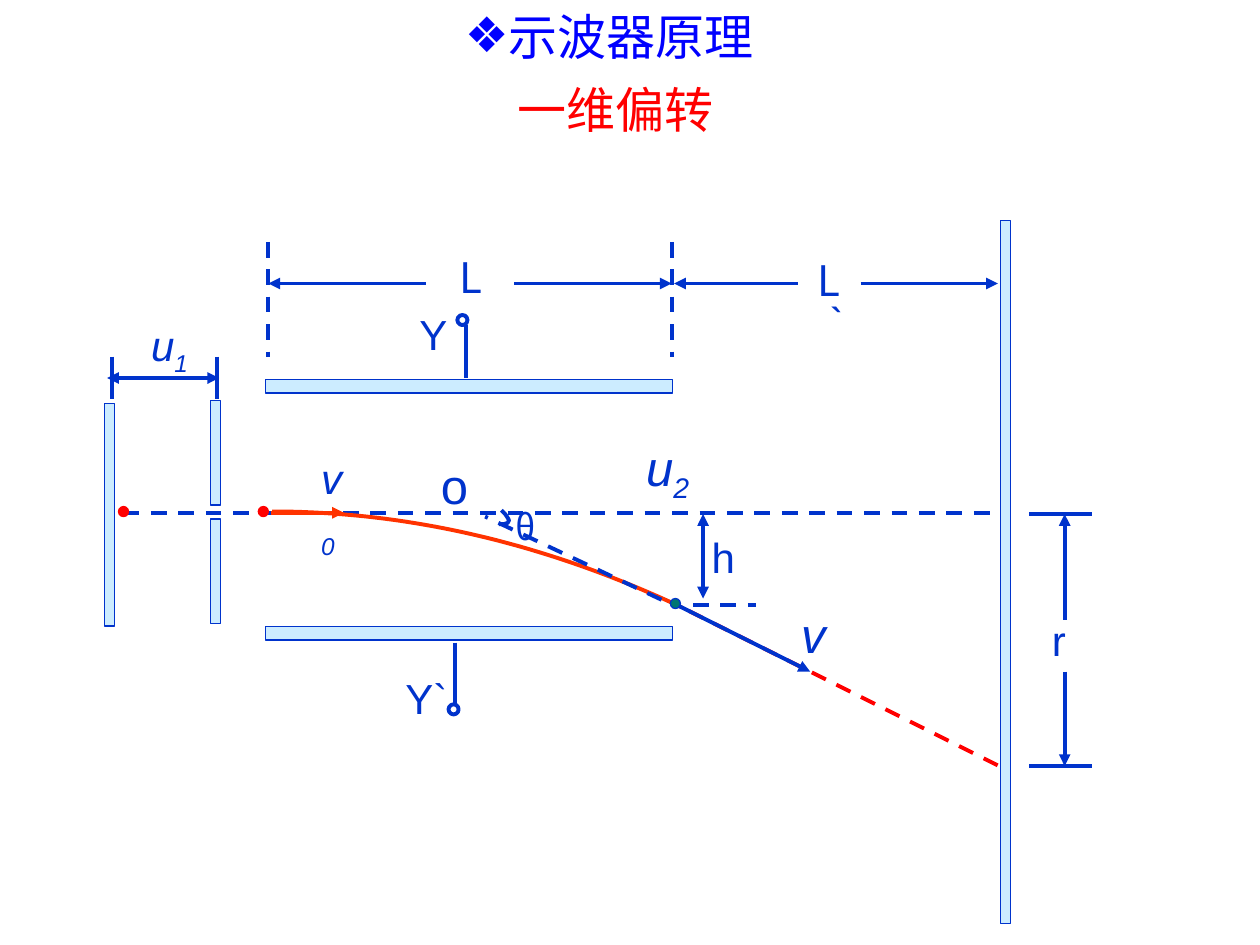
"""Build the oscilloscope slide showing one-dimensional beam deflection."""
from lxml import etree
from pptx import Presentation
from pptx.dml.color import RGBColor
from pptx.enum.dml import MSO_LINE
from pptx.enum.shapes import MSO_CONNECTOR, MSO_SHAPE
from pptx.enum.text import MSO_AUTO_SIZE
from pptx.oxml.ns import qn
from pptx.util import Inches, Pt

STRAIGHT = MSO_CONNECTOR.STRAIGHT
DASH = MSO_LINE.DASH
RECTANGLE = MSO_SHAPE.RECTANGLE
OVAL = MSO_SHAPE.OVAL
FIT_SHAPE = MSO_AUTO_SIZE.SHAPE_TO_FIT_TEXT

THEME = {
    "ink": RGBColor(0x00, 0x33, 0xCC),
    "plate": RGBColor(0xCC, 0xEC, 0xFF),
    "title": RGBColor(0x00, 0x00, 0xFF),
    "red": RGBColor(0xFF, 0x00, 0x00),
    "beam": RGBColor(0xFF, 0x33, 0x00),
    "exit": RGBColor(0x00, 0x75, 0x72),
    "latin": "Arial",
    "cjk": "Noto Sans CJK SC",
    "large": Pt(28),
    "medium": Pt(24),
    "small": Pt(20),
    "stroke": Pt(2.25),
    "outline": Pt(0.75),
}
BOTH = ("headEnd", "tailEnd")
HEAD = ("headEnd",)
TAIL = ("tailEnd",)
DOT = 0.08

deck = Presentation()
deck.slide_width, deck.slide_height = Inches(10), Inches(7.5)
page = deck.slides.add_slide(deck.slide_layouts[6])


def add_line(start, end, color="ink", dashed=False, arrows=()):
    """Draw a straight line with optional dashes and arrowheads."""
    line = page.shapes.add_connector(STRAIGHT, *map(Inches, start + end))
    line.line.color.rgb = THEME[color]
    line.line.width = THEME["stroke"]
    if dashed:
        line.line.dash_style = DASH
    for arrow in arrows:
        etree.SubElement(line.line._get_or_add_ln(), qn(f"a:{arrow}"), type="triangle")
    etree.SubElement(line._element.spPr, qn("a:effectLst"))


def add_label(place, parts, size="medium", color="ink", font="latin", italic=False, wrap=False):
    """Write a label whose second part, if any, is a subscript."""
    box = page.shapes.add_textbox(*map(Inches, place))
    box.text_frame.word_wrap = wrap
    box.text_frame.auto_size = FIT_SHAPE
    para = box.text_frame.paragraphs[0]
    look = {"name": THEME[font], "size": THEME[size], "italic": italic}
    for index, part in enumerate(parts):
        span = para.add_run()
        span.text = part
        for name, value in look.items():
            setattr(span.font, name, value)
        span.font.color.rgb = THEME[color]
        properties = span._r.get_or_add_rPr()
        etree.SubElement(properties, qn("a:ea"), typeface=THEME["cjk"])
        if index:
            properties.set("baseline", "-25000")
    return para


add_line((0.98, 4.07), (7.98, 4.07), dashed=True)
add_line((2.15, 4.07), (2.73, 4.07), "beam", arrows=TAIL)
add_line((5.47, 4.85), (7.95, 6.09), "red", dashed=True)

steps = 40
trajectory = [(2.16 + 3.25 * i / steps, 4.06 + 0.76 * (i / steps) ** 2) for i in range(steps + 1)]
angle_arc = [(3.98, 4.05), (4.01, 4.08), (4.03, 4.11), (4.04, 4.13), (4.03, 4.15), (4, 4.16), (3.96, 4.16)]
for points, color in ((trajectory, "beam"), (angle_arc, "ink")):
    corners = [(Inches(x), Inches(y)) for x, y in points]
    builder = page.shapes.build_freeform(*corners[0])
    builder.add_line_segments(corners[1:], close=False)
    curve = builder.convert_to_shape()
    curve.shadow.inherit = False
    curve.fill.background()
    curve.line.color.rgb = THEME[color]
    curve.line.width = THEME["stroke"]

for x in (0.89, 1.72):
    add_line((x, 2.83), (x, 3.17))
for x in (2.13, 5.33):
    add_line((x, 1.92), (x, 2.83), dashed=True)
for y in (4.08, 6.08):
    add_line((8.17, y), (8.67, y))
for start, end, arrows in (
    ((0.85, 3), (1.74, 3), BOTH),
    ((2.13, 2.25), (3.38, 2.25), HEAD),
    ((4.08, 2.25), (5.33, 2.25), TAIL),
    ((5.35, 2.25), (6.33, 2.25), HEAD),
    ((6.83, 2.25), (7.92, 2.25), TAIL),
    ((8.45, 4.92), (8.45, 4.08), TAIL),
    ((8.45, 5.33), (8.45, 6.08), TAIL),
    ((5.58, 4.08), (5.58, 4.75), BOTH),
    ((5.37, 4.8), (6.43, 5.33), TAIL),
    ((3.7, 3), (3.7, 2.58), ()),
    ((3.61, 5.1), (3.61, 5.6), ()),
):
    add_line(start, end, arrows=arrows)
add_line((5.25, 4.76), (3.85, 4.1), dashed=True)
add_line((5.5, 4.8), (6, 4.8), dashed=True)

plates = [
    (0.83, 3.2, 0.08, 1.77),
    (1.67, 3.18, 0.08, 0.83),
    (1.67, 4.12, 0.08, 0.83),
    (2.11, 3.01, 3.23, 0.11),
    (2.11, 4.97, 3.23, 0.11),
    (7.94, 1.75, 0.08, 5.58),
]
dots = [
    (0.94, 4.02, "red", "red", "outline"),
    (2.05, 4.02, "red", "red", "outline"),
    (5.32, 4.75, "exit", "ink", "outline"),
    (3.63, 2.5, None, "ink", "stroke"),
    (3.56, 5.59, None, "ink", "stroke"),
]
solids = [(RECTANGLE, place, "plate", "ink", "outline") for place in plates]
solids += [(OVAL, (x, y, DOT, DOT), *style) for x, y, *style in dots]
for kind, place, fill, edge, width in solids:
    solid = page.shapes.add_shape(kind, *map(Inches, place))
    solid.shadow.inherit = False
    if fill:
        solid.fill.solid()
        solid.fill.fore_color.rgb = THEME[fill]
    else:
        solid.fill.background()
    solid.line.color.rgb = THEME[edge]
    solid.line.width = THEME[width]

heading = add_label((3.59, 0, 2.49, 0.57), ["示波器原理"], "large", "title")
indent = Inches(0.34)
heading_format = heading._p.get_or_add_pPr()
heading_format.set("marL", str(indent))
heading_format.set("indent", str(-indent))
bullet_color = etree.SubElement(heading_format, qn("a:buClr"))
etree.SubElement(bullet_color, qn("a:srgbClr"), val=str(THEME["title"]))
etree.SubElement(heading_format, qn("a:buFont"), typeface=THEME["latin"])
etree.SubElement(heading_format, qn("a:buChar"), char="❖")
add_label((4.01, 0.58, 1.75, 0.57), ["一维偏转"], "large", "red")

add_label((2.45, 3.54, 0.46, 0.96), ["v", "0"], italic=True, wrap=True)
add_label((1.1, 2.49, 0.49, 0.56), ["u", "1"], italic=True)
add_label((5.03, 3.42, 0.54, 0.63), ["u", "2"], "large", italic=True)
add_label((6.26, 4.75, 0.39, 0.57), ["v"], "large", italic=True)
add_label((3.4, 3.57, 0.41, 0.57), ["o"], "large")
add_label((3.99, 3.96, 0.44, 0.44), ["θ"], "small", font="cjk")
add_label((3.55, 1.95, 0.37, 0.5), ["L"], font="cjk")
add_label((6.39, 1.97, 0.45, 0.5), ["L‵"], font="cjk")
for place, text in (
    ((3.23, 2.4, 0.42, 0.5), "Y"),
    ((3.12, 5.29, 0.53, 0.5), "Y`"),
    ((8.25, 4.83, 0.31, 0.5), "r"),
    ((5.55, 4.17, 0.38, 0.5), "h"),
):
    add_label(place, [text])

deck.save("out.pptx")
